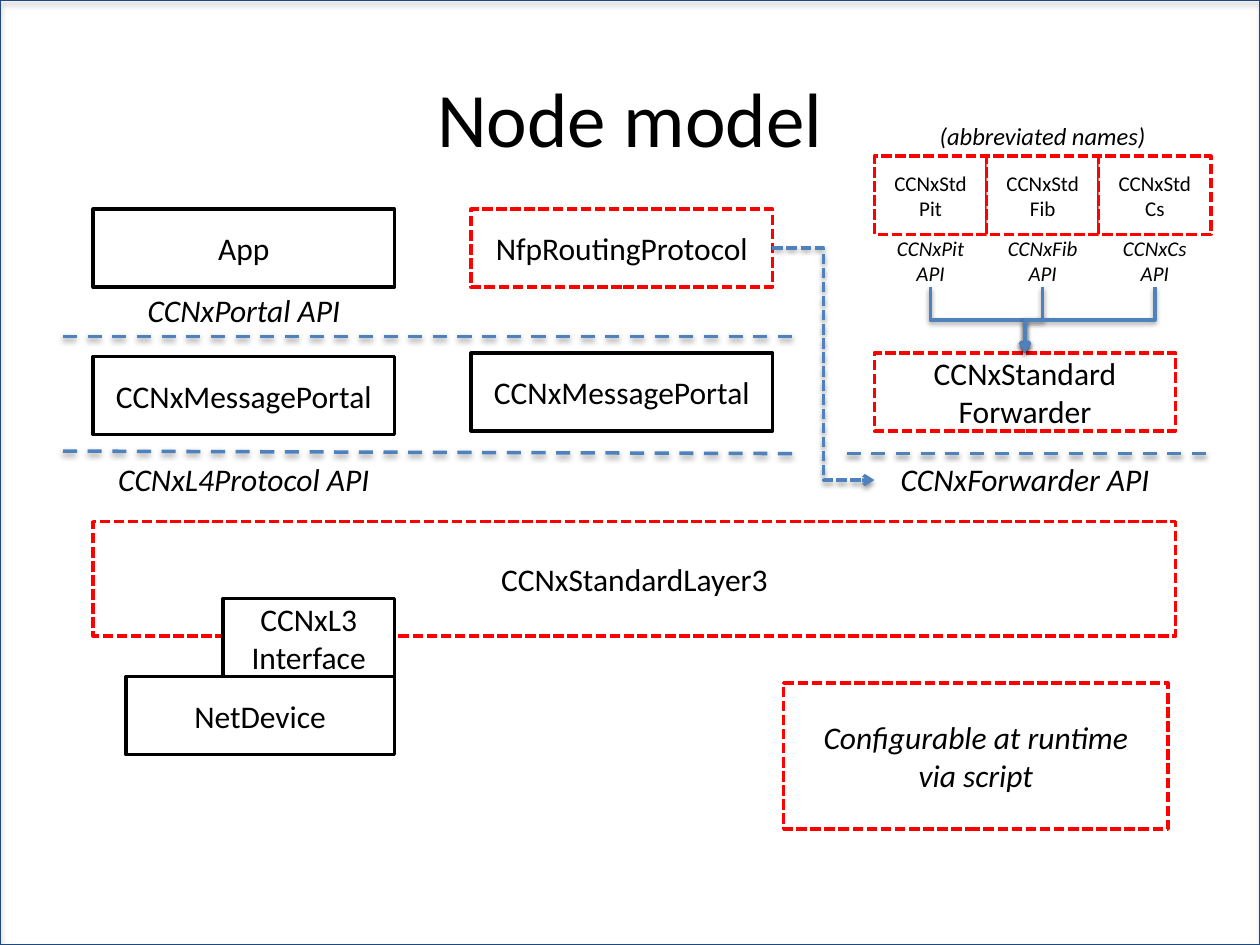
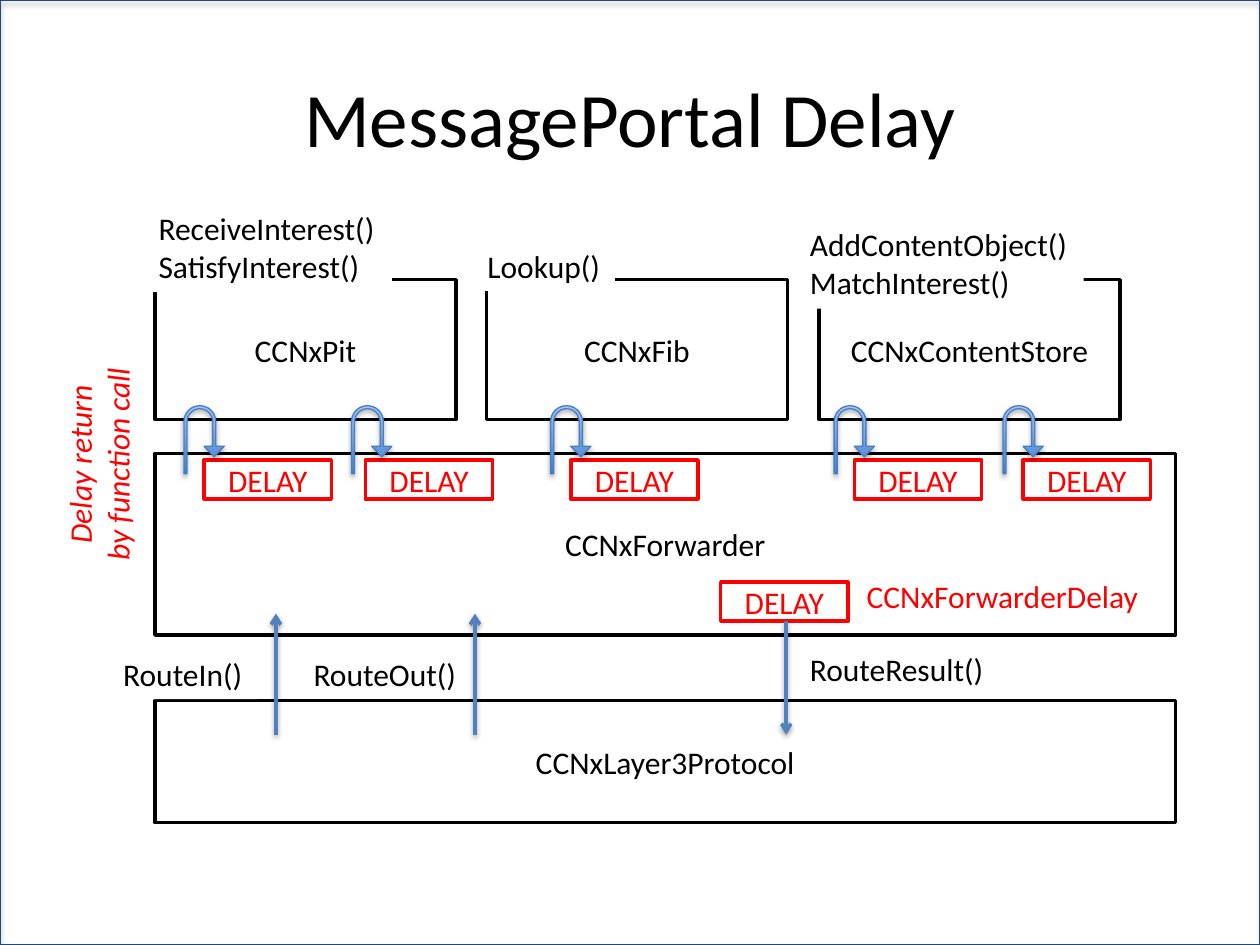
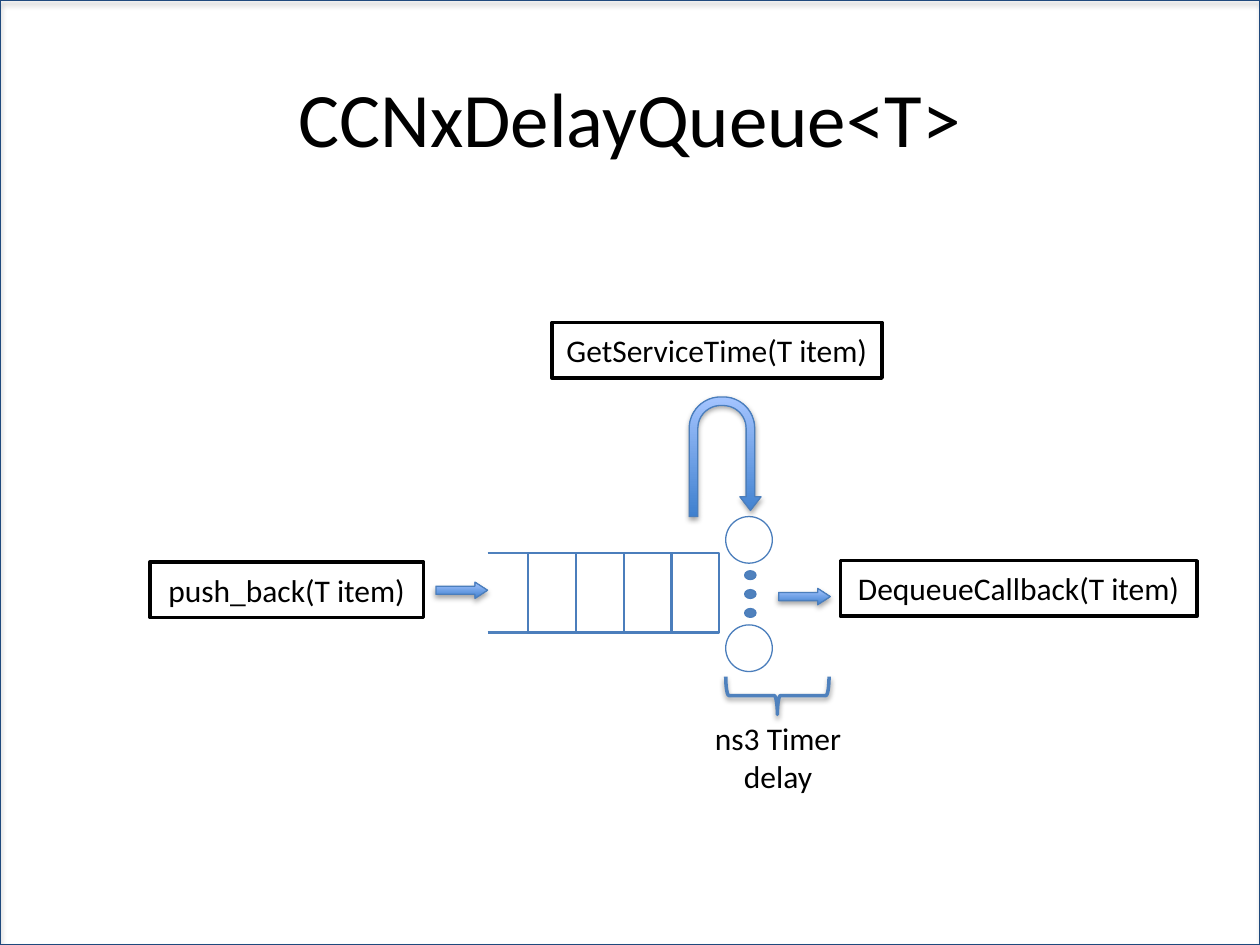
"""Build three slides on the CCNx node model, portal delay and delay queue."""
from dataclasses import dataclass

from lxml.etree import SubElement
from pptx import Presentation
from pptx.dml.color import RGBColor
from pptx.enum.dml import MSO_LINE
from pptx.enum.shapes import MSO_CONNECTOR as LINK, MSO_SHAPE as SHAPE
from pptx.enum.text import MSO_ANCHOR as ANCHOR, PP_ALIGN as ALIGN
from pptx.oxml.ns import qn
from pptx.util import Inches, Pt


@dataclass(frozen=True)
class Theme:
    font: str = "Calibri"
    black: str = "000000"
    white: str = "FFFFFF"
    red: str = "FF0000"
    blue: str = "4F81BD"
    outline: str = "4B7EBC"
    frame: str = "1F497D"
    frame_fill: str = "264A59"
    gradient: tuple = ("3F80CE", "A4C4FF")
    title: int = 44
    body: int = 18
    note: int = 14
    small: int = 12
    thin: float = 0.75
    queue: float = 1.25
    bold: float = 2


THEME = Theme()


def write_text(frame, text, size=THEME.body, color=THEME.black, italic=False,
               align=ALIGN.CENTER, anchor=ANCHOR.MIDDLE, wrap=True):
    frame.word_wrap = wrap
    frame.vertical_anchor = anchor
    for index, line in enumerate(text.split("\n")):
        paragraph = frame.add_paragraph() if index else frame.paragraphs[0]
        paragraph.alignment = align
        run = paragraph.add_run()
        run.text = line
        run.font.name = THEME.font
        run.font.size = Pt(size)
        run.font.italic = italic
        run.font.color.rgb = RGBColor.from_string(color)


def cast_shadow(effects, distance, alpha):
    shadow = SubElement(effects, qn("a:outerShdw"), blurRad=str(Pt(3.1)), dist=str(Pt(distance)),
                        dir="5400000", rotWithShape="0")
    tint = SubElement(shadow, qn("a:srgbClr"), val=THEME.black)
    SubElement(tint, qn("a:alpha"), val=str(alpha * 1000))


class Deck:
    def __init__(self, theme):
        self.theme = theme
        self.deck = Presentation()
        self.deck.slide_width, self.deck.slide_height = Inches(10), Inches(7.5)
        self.slide = None

    def start(self, title):
        self.slide = self.deck.slides.add_slide(self.deck.slide_layouts[5])
        heading = self.slide.shapes.title
        heading.left, heading.top = Inches(0.5), Inches(0.3)
        heading.width, heading.height = Inches(9), Inches(1.25)
        write_text(heading.text_frame, title, size=self.theme.title)
        self.shape(SHAPE.FRAME, 0, 0, 10, 7.5, fill=self.theme.frame_fill, line=self.theme.frame,
                   adjust=[0], shadow=(1.8, 35))

    def shape(self, kind, x, y, w, h, fill=None, line=None, weight=THEME.thin, dash=None,
              adjust=(), shadow=None, rotation=0):
        item = self.slide.shapes.add_shape(kind, Inches(x), Inches(y), Inches(w), Inches(h))
        for index, value in enumerate(adjust):
            item.adjustments[index] = value
        item.rotation = rotation
        if fill:
            item.fill.solid()
            item.fill.fore_color.rgb = RGBColor.from_string(fill)
        else:
            item.fill.background()
        if line:
            item.line.color.rgb = RGBColor.from_string(line)
            item.line.width = Pt(weight)
            item.line.dash_style = dash
        else:
            item.line.fill.background()
        item.shadow.inherit = False
        if shadow:
            cast_shadow(item.element.spPr.find(qn("a:effectLst")), *shadow)
        return item

    def box(self, text, x, y, w, h, line=THEME.black, dash=None, kind=SHAPE.RECTANGLE, **style):
        item = self.shape(kind, x, y, w, h, self.theme.white, line, self.theme.bold, dash)
        write_text(item.text_frame, text, **style)

    def runtime_box(self, text, x, y, w, h, **style):
        self.box(text, x, y, w, h, line=self.theme.red, dash=MSO_LINE.SQUARE_DOT, **style)

    def label(self, text, x, y, w, h=0.4, fill=None, rotation=0, **style):
        area = self.slide.shapes.add_textbox(Inches(x), Inches(y), Inches(w), Inches(h))
        area.rotation = rotation
        if fill:
            area.fill.solid()
            area.fill.fore_color.rgb = RGBColor.from_string(fill)
        write_text(area.text_frame, text, **{"anchor": ANCHOR.TOP, **style})

    def block_arrow(self, kind, x, y, w, h, adjust):
        arrow = self.shape(kind, x, y, w, h, line=self.theme.outline, adjust=adjust,
                           shadow=(1.8, 35))
        arrow.fill.gradient()
        arrow.fill.gradient_angle = 90
        for stop, color in zip(arrow.fill.gradient_stops, self.theme.gradient):
            stop.color.rgb = RGBColor.from_string(color)

    def link(self, x1, y1, x2, y2, kind=LINK.STRAIGHT, weight=THEME.bold, dash=None,
             arrow=False, shadow=True):
        line = self.slide.shapes.add_connector(kind, Inches(x1), Inches(y1), Inches(x2), Inches(y2))
        line.line.color.rgb = RGBColor.from_string(self.theme.blue)
        line.line.width = Pt(weight)
        line.line.dash_style = dash
        properties = line.element.spPr
        if arrow:
            SubElement(properties.find(qn("a:ln")), qn("a:tailEnd"), type="arrow")
        effects = SubElement(properties, qn("a:effectLst"))
        if shadow:
            cast_shadow(effects, 1.6, 38)
        return line

    def drop_link(self, x1, y1, x2, y2):
        mid_x, mid_y = (x1 + x2) / 2, (y1 + y2) / 2
        reach, rise = (y2 - y1) / 2, (x2 - x1) / 2
        line = self.link(mid_x - reach, mid_y + rise, mid_x + reach, mid_y - rise,
                         kind=LINK.ELBOW, arrow=True)
        line.element.spPr.find(qn("a:xfrm")).set("rot", "5400000")


def node_model(deck):
    deck.start("Node model")
    left, middle, right, width, height = 0.74, 3.74, 6.94, 2.39, 0.62

    deck.runtime_box("CCNxStandardLayer3", left, 4.14, 8.59, 0.91)
    deck.box("NetDevice", 1, 5.37, 2.13, height)
    deck.box("CCNxL3\nInterface", 1.77, 4.75, 1.36, height)
    deck.box("App", left, 1.66, width, height)
    deck.box("CCNxMessagePortal", left, 2.83, width, height)
    deck.runtime_box("NfpRoutingProtocol", middle, 1.66, width, height)
    deck.box("CCNxMessagePortal", middle, 2.8, width, height)
    deck.runtime_box("CCNxStandard\nForwarder", right, 2.8, width, height)
    deck.runtime_box("Configurable at runtime\nvia script", 6.22, 5.42, 3.05, 1.16, italic=True)

    for boundary in ((0.5, 3.58, 6.3, 3.6), (0.5, 2.67, 6.3, 2.67), (6.72, 3.6, 9.64, 3.6)):
        deck.link(*boundary, dash=MSO_LINE.DASH)
    for api, x, y in (("CCNxPortal API", left, 2.26), ("CCNxL4Protocol API", left, 3.6),
                      ("CCNxForwarder API", right, 3.6)):
        deck.label(api, x, y, width, italic=True)
    deck.link(6.13, 1.97, right, 3.81, kind=LINK.ELBOW, dash=MSO_LINE.SQUARE_DOT, arrow=True)

    deck.label("(abbreviated names)", right, 0.91, 2.67, 0.34, size=THEME.note, italic=True)
    table_width = 0.89
    for index, table in enumerate(("Pit", "Fib", "Cs")):
        x = right + index * table_width
        deck.box(f"CCNx{table}\nAPI", x, 1.86, table_width, 0.42, line=None,
                 size=THEME.small, italic=True)
        deck.runtime_box(f"CCNxStd\n{table}", x, 1.24, table_width, height, size=THEME.small)
        deck.drop_link(x + table_width / 2, 2.28, right + width / 2, 2.8)


def portal_delay(deck):
    deck.start("MessagePortal Delay")
    deck.box("CCNxLayer3Protocol", 1.23, 5.56, 8.1, 0.97)
    deck.box("CCNxForwarder", 1.23, 3.6, 8.1, 1.44)
    for store, x in (("CCNxPit", 1.23), ("CCNxFib", 3.86), ("CCNxContentStore", 6.5)):
        deck.box(store, x, 2.22, 2.39, 1.11)

    for call_x, delay_x in ((1.46, 1.62), (2.79, 2.9), (4.37, 4.53), (6.62, 6.78), (7.96, 8.12)):
        deck.box("DELAY", delay_x, 3.65, 1.01, 0.31, line=THEME.red, color=THEME.red)
        deck.block_arrow(SHAPE.U_TURN_ARROW, call_x, 3.22, 0.32, 0.54,
                         (0.076, 0.25, 0.261, 0.438, 0.75))
    deck.box("DELAY", 5.72, 4.62, 1.01, 0.31, line=THEME.red, color=THEME.red)

    for x, start, end in ((2.19, 5.83, 4.87), (3.77, 5.83, 4.87), (6.24, 4.93, 5.83)):
        deck.link(x, start, x, end, arrow=True)

    for calls, x, y, w, h, fill in (
        ("ReceiveInterest()\nSatisfyInterest()", 1.16, 1.61, 1.95, 0.71, THEME.white),
        ("Lookup()", 3.77, 1.91, 1.11, 0.4, THEME.white),
        ("AddContentObject()\nMatchInterest()", 6.33, 1.74, 2.27, 0.71, THEME.white),
        ("RouteIn()", 0.88, 5.15, 1.16, 0.4, THEME.white),
        ("RouteOut()", 2.39, 5.15, 1.35, 0.4, None),
        ("RouteResult()", 6.33, 5.11, 1.6, 0.4, None),
    ):
        deck.label(calls, x, y, w, h, fill=fill, align=ALIGN.LEFT, wrap=False)
    deck.label("CCNxForwarderDelay", 6.78, 4.53, 2.39, color=THEME.red,
               align=ALIGN.LEFT, wrap=False)
    deck.label("Delay return\nby function call", -0.12, 3.33, 1.81, 0.71, rotation=270,
               color=THEME.red, italic=True, wrap=False)


def delay_queue(deck):
    deck.start("CCNxDelayQueue<T>")
    queue_x, queue_y, slot_width, slot_height = 4.19, 4.39, 0.38, 0.63
    for y in (queue_y, queue_y + slot_height):
        deck.link(3.87, y, queue_x, y, weight=THEME.queue, shadow=False)
    for slot in range(4):
        deck.shape(SHAPE.RECTANGLE, queue_x + slot * slot_width, queue_y, slot_width, slot_height,
                   line=THEME.outline, weight=THEME.queue)
    for y in (4.1, 4.96):
        deck.shape(SHAPE.OVAL, 5.76, y, 0.37, 0.37, line=THEME.outline)
    for dot in range(3):
        deck.shape(SHAPE.OVAL, 5.91, 4.53 + dot * 0.15, 0.09, 0.07,
                   fill=THEME.blue, line=THEME.outline)

    for step, x, y, w in (("GetServiceTime(T item)", 4.38, 2.56, 2.62),
                          ("DequeueCallback(T item)", 6.67, 4.45, 2.83),
                          ("push_back(T item)", 1.19, 4.46, 2.17)):
        deck.box(step, x, y, w, 0.44, kind=SHAPE.FLOWCHART_PROCESS)
    deck.block_arrow(SHAPE.U_TURN_ARROW, 5.47, 3.15, 0.57, 0.95,
                     (0.12, 0.147, 0.191, 0.438, 0.949))
    for x, y in ((6.18, 4.67), (3.46, 4.62)):
        deck.block_arrow(SHAPE.RIGHT_ARROW, x, y, 0.41, 0.13, (0.5, 0.77))
    deck.shape(SHAPE.LEFT_BRACE, 6.02, 5.11, 0.3, 0.82, line=THEME.blue, weight=THEME.bold,
               shadow=(1.6, 38), rotation=270)
    deck.label("ns3 Timer\ndelay", 5.57, 5.66, 1.21, 0.71, wrap=False)


def main():
    deck = Deck(THEME)
    for build in (node_model, portal_delay, delay_queue):
        build(deck)
    deck.deck.save("out.pptx")


if __name__ == "__main__":
    main()
